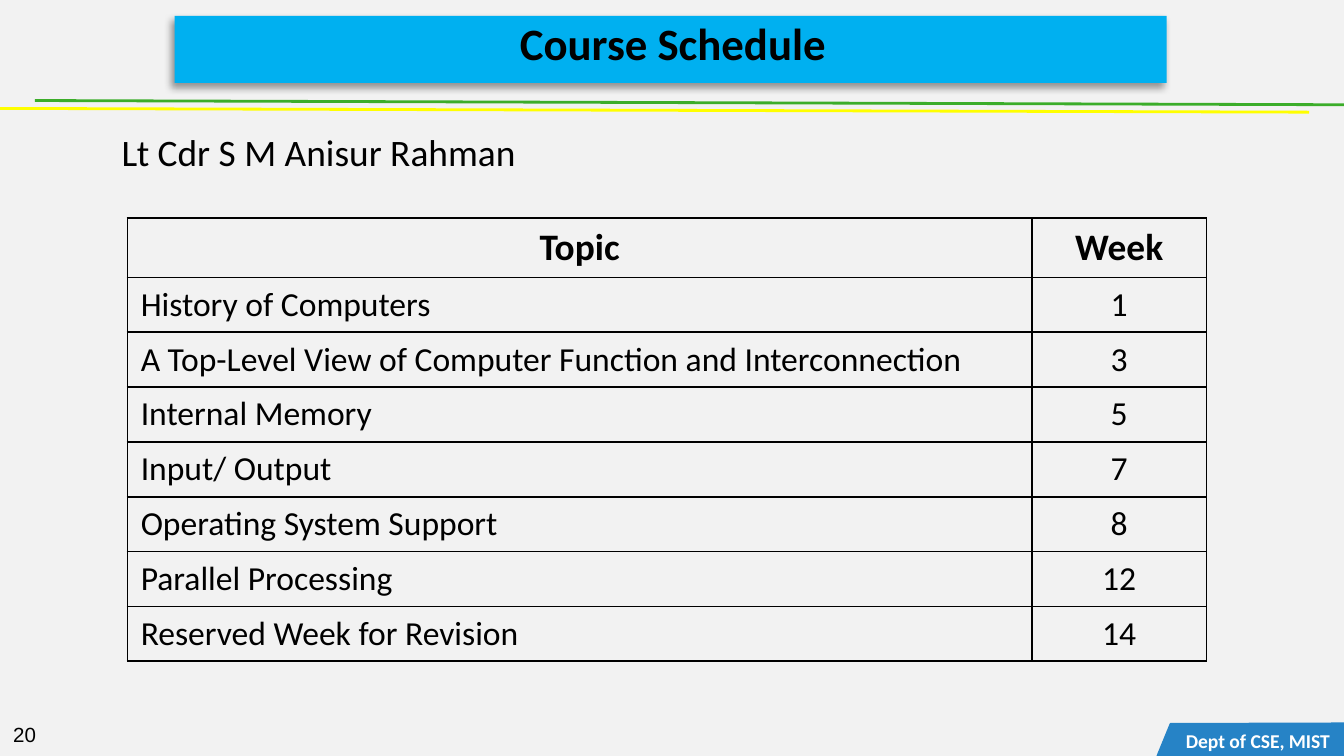
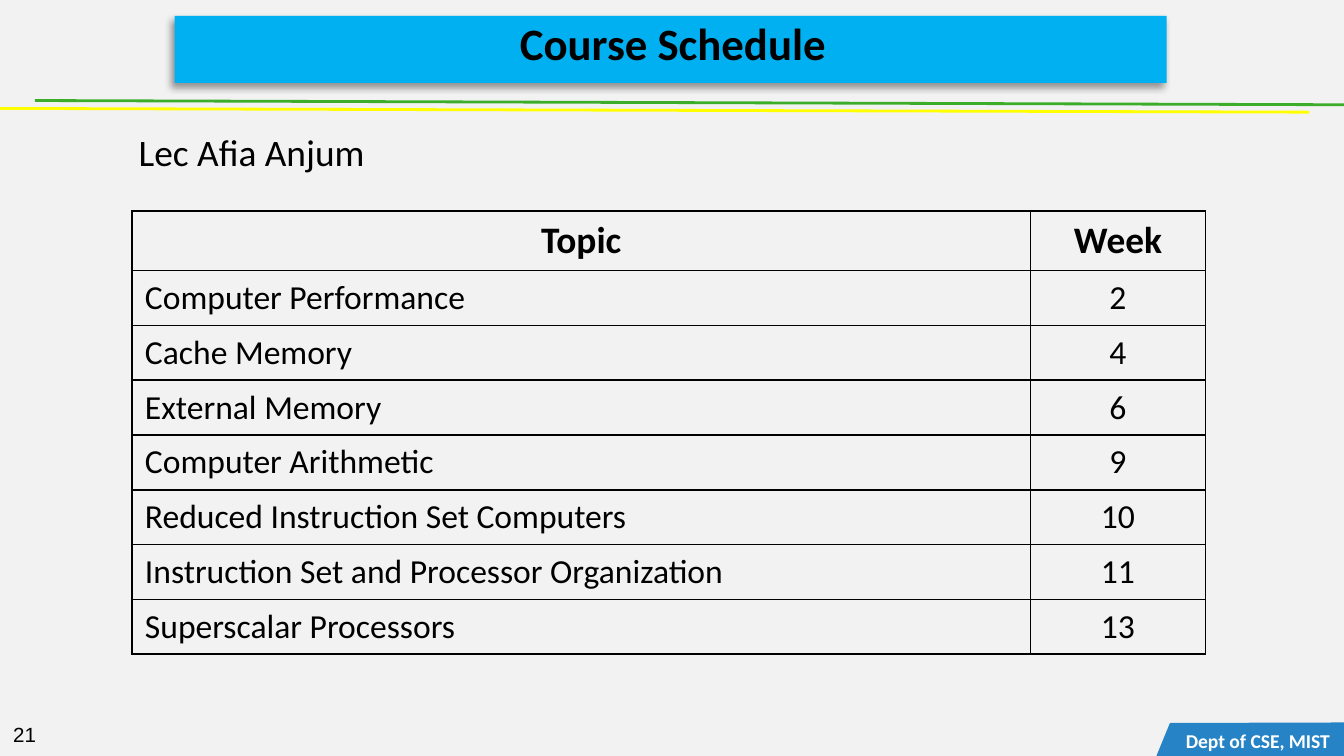
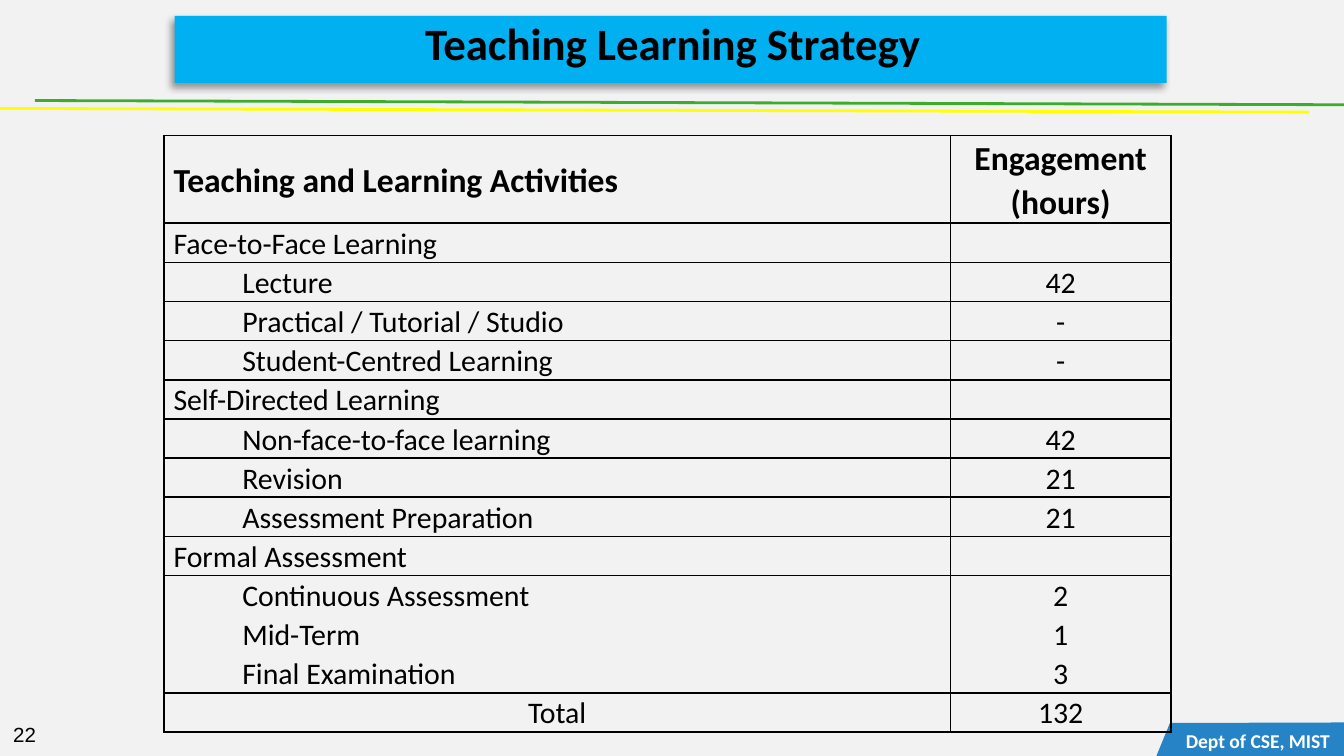
from dataclasses import dataclass

from lxml.etree import SubElement
from pptx import Presentation
from pptx.dml.color import RGBColor
from pptx.enum.shapes import MSO_CONNECTOR as Connector, MSO_SHAPE as Shape
from pptx.enum.text import MSO_ANCHOR as Anchor, MSO_AUTO_SIZE as AutoSize, PP_ALIGN as Align
from pptx.oxml.ns import qn
from pptx.util import Cm, Pt

COLORS = {
    "page": "F2F2F2",
    "text": "000000",
    "white": "FFFFFF",
    "band": "00B0F0",
    "badge": "2683C6",
    "green": "3BAD29",
    "yellow": "FFFF00",
}
TITLE_AND_CONTENT, TITLE_ONLY = 1, 5
SUBITEM_INDENT = 1.3


@dataclass
class Entry:
    text: str
    size: float = 18
    bold: bool = False
    align: Align = Align.LEFT
    indent: float = 0


@dataclass
class GridStyle:
    margin_x: float = 0.25
    margin_y: float = 0.13
    anchor: Anchor = Anchor.TOP
    spacing: float = 1.0


def rgb(name):
    return RGBColor.from_string(COLORS[name])


def write(paragraph, text, size, bold=False, color="text", font="Calibri", align=Align.LEFT, spacing=1.0):
    paragraph.alignment = align
    paragraph.line_spacing = spacing
    paragraph.space_before = Pt(0)
    run = paragraph.add_run()
    run.text = text
    run.font.name = font
    run.font.size = Pt(size)
    run.font.bold = bold
    run.font.color.rgb = rgb(color)


def set_margins(target, x, y):
    target.margin_left = target.margin_right = Cm(x)
    target.margin_top = target.margin_bottom = Cm(y)


def place(shape, left, top, width, height):
    shape.left, shape.top, shape.width, shape.height = map(Cm, (left, top, width, height))


def prepare_frame(shape, margin_x, margin_y, anchor):
    frame = shape.text_frame
    frame.word_wrap = True
    frame.auto_size = AutoSize.NONE
    frame.vertical_anchor = anchor
    set_margins(frame, margin_x, margin_y)
    return frame.paragraphs[0]


def add_label(slide, box, margin_x, margin_y, anchor, text, size, **style):
    label = slide.shapes.add_textbox(*map(Cm, box))
    write(prepare_frame(label, margin_x, margin_y, anchor), text, size, **style)


def add_rule(slide, start, end, color):
    rule = slide.shapes.add_connector(Connector.STRAIGHT, *map(Cm, start + end))
    rule.line.color.rgb = rgb(color)
    rule.line.width = Pt(1.5)
    SubElement(rule.element.spPr, qn("a:effectLst"))


def add_badge(slide):
    corners = [(Cm(x), Cm(y)) for x, y in ((21.87, 14.29), (22.12, 13.68), (25.4, 13.67), (25.4, 14.29))]
    outline = slide.shapes.build_freeform(*corners[0])
    outline.add_line_segments(corners[1:], close=True)
    badge = outline.convert_to_shape()
    badge.shadow.inherit = False
    badge.fill.solid()
    badge.fill.fore_color.rgb = rgb("badge")
    badge.line.color.rgb = rgb("badge")
    badge.line.width = Pt(0.75)
    add_label(slide, (22.15, 13.74, 3.25, 0.51), 0, 0, Anchor.MIDDLE, "Dept of CSE, MIST", 10.5,
              bold=True, color="white", align=Align.CENTER)


def add_band(slide):
    band = slide.shapes.add_shape(Shape.RECTANGLE, Cm(3.3), Cm(0.3), Cm(18.75), Cm(1.27))
    band.fill.solid()
    band.fill.fore_color.rgb = rgb("band")
    band.line.fill.background()
    band.shadow.inherit = False
    effects = band.element.spPr.find(qn("a:effectLst"))
    shadow = SubElement(effects, qn("a:outerShdw"), blurRad=str(Pt(4)), dist=str(Pt(3)),
                        dir="8100000", rotWithShape="0")
    shade = SubElement(shadow, qn("a:srgbClr"), val=COLORS["text"])
    SubElement(shade, qn("a:alpha"), val="40000")


def add_slide(deck, layout, number, heading):
    slide = deck.slides.add_slide(deck.slide_layouts[layout])
    add_rule(slide, (0.66, 1.9), (25.4, 1.98), "green")
    add_rule(slide, (0, 2.05), (24.74, 2.12), "yellow")
    add_label(slide, (0, 13.51, 1.35, 0.74), 0.25, 0.13, Anchor.TOP, str(number), 11, font="Arial")
    add_badge(slide)
    add_band(slide)
    title = slide.shapes.title
    slide.shapes.element.append(title.element)
    place(title, 3.56, 0.43, 18.31, 0.99)
    write(prepare_frame(title, 0.18, 0.1, Anchor.BOTTOM), heading, 24, bold=True,
          align=Align.CENTER, spacing=0.85)
    return slide


def add_lecturer(slide, name, indent):
    body = slide.placeholders[1]
    place(body, 0.86, 2.44, 23.67, 10.92)
    paragraph = prepare_frame(body, 0, 0.1, Anchor.TOP)
    properties = paragraph._p.get_or_add_pPr()
    properties.set("marL", str(Cm(indent)))
    properties.set("indent", "0")
    SubElement(properties, qn("a:buNone"))
    write(paragraph, name, 20, spacing=0.9)


def add_borders(cell):
    properties = cell._tc.get_or_add_tcPr()
    for side in ("lnL", "lnR", "lnT", "lnB"):
        border = SubElement(properties, qn(f"a:{side}"), w=str(Pt(1)))
        SubElement(SubElement(border, qn("a:solidFill")), qn("a:srgbClr"), val=COLORS["text"])


def fill_cell(cell, entry, style):
    add_borders(cell)
    cell.fill.background()
    set_margins(cell, style.margin_x, style.margin_y)
    cell.vertical_anchor = style.anchor
    frame = cell.text_frame
    for index, line in enumerate(entry.text.split("\n")):
        paragraph = frame.add_paragraph() if index else frame.paragraphs[0]
        if not line:
            paragraph.line_spacing = style.spacing
            SubElement(paragraph._p, qn("a:endParaRPr"), sz=str(entry.size * 100))
            continue
        if entry.indent:
            paragraph._p.get_or_add_pPr().set("marL", str(Cm(entry.indent)))
        write(paragraph, line, entry.size, bold=entry.bold, align=entry.align, spacing=style.spacing)


def add_grid(slide, left, top, widths, heights, rows, style):
    table = slide.shapes.add_table(len(rows), len(widths), Cm(left), Cm(top),
                                   Cm(sum(widths)), Cm(sum(heights))).table
    table.first_row = table.horz_banding = False
    for column, width in zip(table.columns, widths):
        column.width = Cm(width)
    for row, height, entries in zip(table.rows, heights, rows):
        row.height = Cm(height)
        for cell, entry in zip(row.cells, entries):
            fill_cell(cell, entry, style)


def add_schedule(deck, number, lecturer, indent, left, top, topic_width, topics):
    slide = add_slide(deck, TITLE_AND_CONTENT, number, "Course Schedule")
    add_lecturer(slide, lecturer, indent)
    rows = [[Entry(text, 20, True, Align.CENTER) for text in ("Topic", "Week")]]
    rows += [[Entry(topic), Entry(str(week), align=Align.CENTER)] for topic, week in topics]
    heights = [1.11] + [1.03] * len(topics)
    add_grid(slide, left, top, (topic_width, 3.3), heights, rows, GridStyle())


def add_strategy(deck, number, activities):
    slide = add_slide(deck, TITLE_ONLY, number, "Teaching Learning Strategy")
    rows = [[Entry("Teaching and Learning Activities", 18, True, Align.JUSTIFY),
             Entry("Engagement (hours)", 18, True, Align.CENTER)]]
    heights = [1.65]
    for activity, hours in activities:
        align = Align.CENTER if activity == "Total" else Align.JUSTIFY
        indent = SUBITEM_INDENT if hours and activity != "Total" else 0
        rows.append([Entry(activity, 16, align=align, indent=indent),
                     Entry(hours, 16, align=Align.CENTER)])
        heights.append(0.74 * len(activity.split("\n")))
    add_grid(slide, 3.1, 2.56, (14.86, 4.17), heights, rows,
             GridStyle(0.18, 0, Anchor.MIDDLE, 1.07))


def main():
    deck = Presentation()
    deck.slide_width, deck.slide_height = Cm(25.4), Cm(14.29)
    page = deck.slide_master.background.fill
    page.solid()
    page.fore_color.rgb = rgb("page")

    add_schedule(deck, 20, "Lt Cdr S M Anisur Rahman", 1.44, 2.41, 4.12, 17.09, [
        ("History of Computers", 1),
        ("A Top-Level View of Computer Function and Interconnection", 3),
        ("Internal Memory", 5),
        ("Input/ Output", 7),
        ("Operating System Support", 8),
        ("Parallel Processing", 12),
        ("Reserved Week for Revision", 14),
    ])
    add_schedule(deck, 21, "Lec Afia Anjum", 1.76, 2.49, 3.99, 16.99, [
        ("Computer Performance", 2),
        ("Cache Memory", 4),
        ("External Memory", 6),
        ("Computer Arithmetic", 9),
        ("Reduced Instruction Set Computers", 10),
        ("Instruction Set and Processor Organization", 11),
        ("Superscalar Processors", 13),
    ])
    add_strategy(deck, 22, [
        ("Face-to-Face Learning", ""),
        ("Lecture", "42"),
        ("Practical / Tutorial / Studio", "-"),
        ("Student-Centred Learning", "-"),
        ("Self-Directed Learning", ""),
        ("Non-face-to-face learning", "42"),
        ("Revision", "21"),
        ("Assessment Preparation", "21"),
        ("Formal Assessment", ""),
        ("Continuous Assessment\nMid-Term\nFinal Examination", "2\n1\n3"),
        ("Total", "132"),
    ])
    deck.save("out.pptx")


if __name__ == "__main__":
    main()
